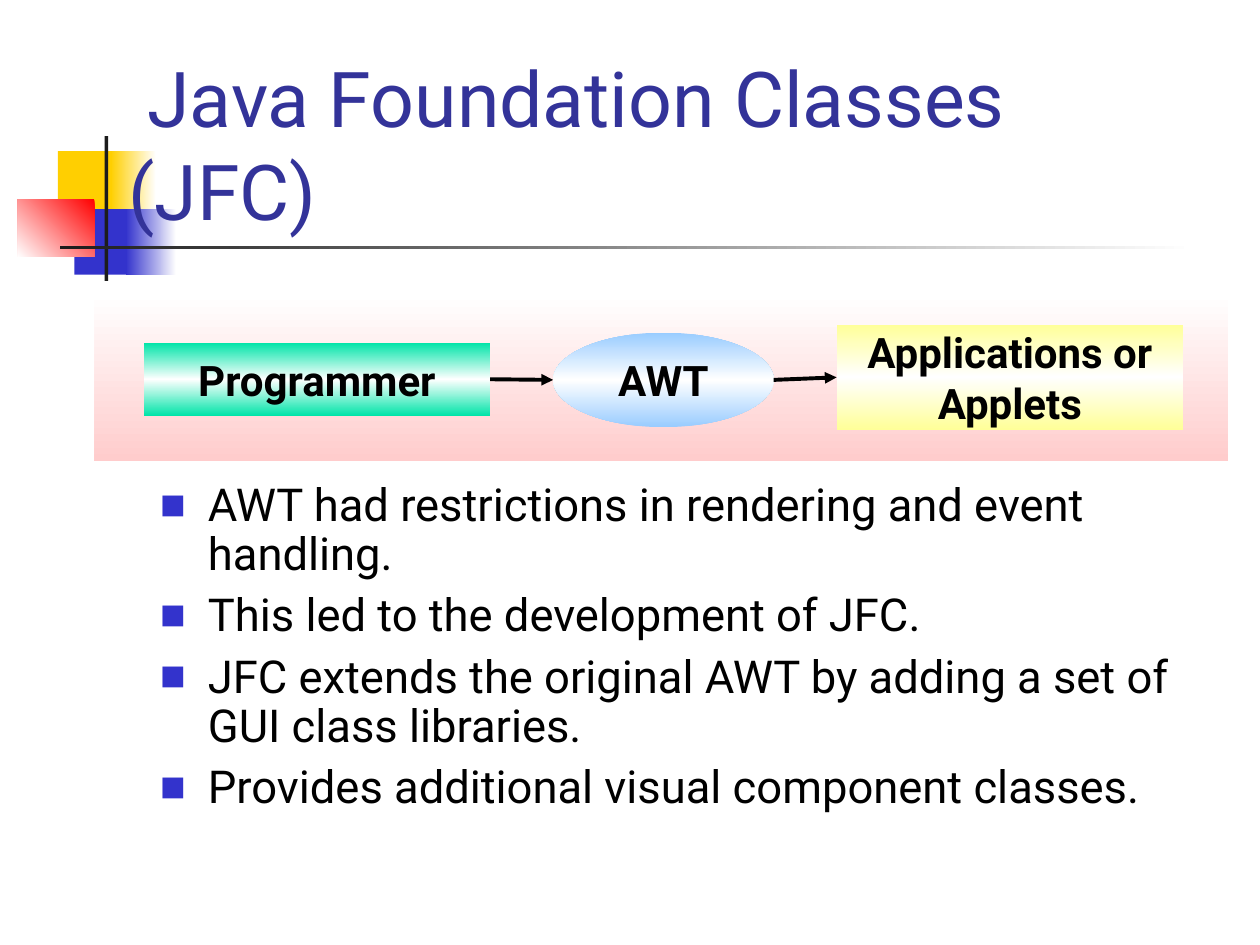
from dataclasses import dataclass

import pptx
import pptx.dml.color
import pptx.enum.shapes
import pptx.enum.text
import pptx.oxml
import pptx.oxml.ns
import pptx.util
from lxml import etree

Inches = pptx.util.Inches
Pt = pptx.util.Pt
qn = pptx.oxml.ns.qn
Shape = pptx.enum.shapes.MSO_SHAPE
Anchor = pptx.enum.text.MSO_ANCHOR
Align = pptx.enum.text.PP_ALIGN


@dataclass(frozen=True)
class Theme:
    font: str = "Roboto"
    title_size: float = 44
    body_size: float = 25.9
    node_size: float = 24
    title: str = "333399"
    text: str = "000000"
    white: str = "FFFFFF"
    yellow: str = "FFCF01"
    blue: str = "3333CC"
    red: str = "FF0000"
    dark: str = "1C1C1C"
    pink: str = "FFCCCC"
    green: str = "00E4A8"
    cream: str = "FFFF99"
    sky: str = "99CCFF"


THEME = Theme()
LEFTWARD, DOWNWARD, DOWN_LEFT = 180, 90, 135

BULLETS = [
    "AWT had restrictions in rendering and event handling.",
    "This led to the development of JFC.",
    "JFC extends the original AWT by adding a set of GUI class libraries.",
    "Provides additional visual component classes.",
]


def rgb(color):
    return pptx.dml.color.RGBColor.from_string(color)


def fill_shape(shape, colors, angle):
    """Fill with one colour, or with evenly spaced gradient stops at a clockwise angle."""
    if len(colors) == 1:
        shape.fill.solid()
        shape.fill.fore_color.rgb = rgb(colors[0])
        return
    shape.fill.gradient()
    shape.fill.gradient_angle = 360 - angle
    stops = shape._element.spPr.find(".//" + qn("a:gsLst"))
    for stop in list(stops):
        stops.remove(stop)
    for index, color in enumerate(colors):
        position = 100000 * index // (len(colors) - 1)
        stop = etree.SubElement(stops, qn("a:gs"), pos=str(position))
        etree.SubElement(stop, qn("a:srgbClr"), val=color)


def add_block(page, place, *colors, angle=DOWNWARD, kind=Shape.RECTANGLE):
    shape = page.shapes.add_shape(kind, *map(Inches, place))
    shape.shadow.inherit = False
    shape.line.fill.background()
    fill_shape(shape, colors, angle)
    return shape


def style_paragraph(para, size, color, bold=False, align=Align.LEFT):
    para.alignment = align
    para.font.name = THEME.font
    para.font.size = Pt(size)
    para.font.bold = bold
    para.font.color.rgb = rgb(color)


def add_node(page, place, text, color, kind=Shape.RECTANGLE):
    node = add_block(page, place, color, THEME.white, color, kind=kind)
    frame = node.text_frame
    frame.word_wrap = False
    frame.vertical_anchor = Anchor.MIDDLE
    frame.text = text
    for para in frame.paragraphs:
        style_paragraph(para, THEME.node_size, THEME.text, True, Align.CENTER)
    return node


def add_arrow(page, start_x, end_x, y):
    arrow = page.shapes.add_connector(
        pptx.enum.shapes.MSO_CONNECTOR.STRAIGHT, start_x, y, end_x, y)
    arrow.line.color.rgb = rgb(THEME.text)
    arrow.line.width = Pt(2.25)
    etree.SubElement(arrow.line._get_or_add_ln(), qn("a:tailEnd"), type="triangle")
    etree.SubElement(arrow._element.spPr, qn("a:effectLst"))
    return arrow


def place_text(page, placeholder, place, anchor):
    """Position a placeholder and bring it in front of what is already drawn."""
    placeholder.left, placeholder.top, placeholder.width, placeholder.height = map(Inches, place)
    page.shapes._spTree.append(placeholder._element)
    frame = placeholder.text_frame
    frame.word_wrap = True
    frame.auto_size = pptx.enum.text.MSO_AUTO_SIZE.NONE
    frame.vertical_anchor = anchor
    return frame


def add_bullet(para):
    properties = para._p.get_or_add_pPr()
    properties.set("marL", str(Inches(0.38)))
    properties.set("indent", str(Inches(-0.38)))
    color = pptx.oxml.parse_xml(
        f'<a:buClr {pptx.oxml.ns.nsdecls("a")}><a:srgbClr val="{THEME.blue}"/></a:buClr>')
    marks = [
        color,
        etree.Element(qn("a:buSzPct"), val="60000"),
        etree.Element(qn("a:buFont"), typeface=THEME.font),
        etree.Element(qn("a:buChar"), char="■"),
    ]
    first = properties.find(qn("a:defRPr"))
    for mark in marks:
        first.addprevious(mark)


def add_decoration(page):
    add_block(page, (0.46, 1.2, 0.48, 0.52), THEME.yellow)
    add_block(page, (0.88, 1.2, 0.36, 0.52), THEME.white, THEME.yellow, angle=LEFTWARD)
    add_block(page, (0.59, 1.66, 0.46, 0.52), THEME.blue)
    add_block(page, (1, 1.66, 0.4, 0.52), THEME.white, THEME.blue, angle=LEFTWARD)
    add_block(page, (0.14, 1.58, 0.61, 0.46), THEME.red, THEME.white, angle=DOWN_LEFT)
    add_block(page, (0.83, 1.08, 0.03, 1.15), THEME.dark)
    add_block(page, (0.48, 1.95, 9, 0.03), THEME.white, THEME.dark, angle=LEFTWARD)


def add_title(page):
    frame = place_text(page, page.shapes.title, (0.92, 0.67, 8.86, 1.25), Anchor.BOTTOM)
    frame.text = "Java Foundation Classes\v(JFC)"
    para = frame.paragraphs[0]
    style_paragraph(para, THEME.title_size, THEME.title)
    para._p.get_or_add_pPr().set("indent", str(Inches(0.15)))


def add_body(page):
    frame = place_text(page, page.placeholders[1], (1.17, 3.78, 8.5, 3.22), Anchor.TOP)
    frame.text = "\n".join(BULLETS)
    for para in frame.paragraphs:
        style_paragraph(para, THEME.body_size, THEME.text)
        para.line_spacing = 0.9
        para.space_before = Pt(7)
        add_bullet(para)


def add_flow(page):
    programmer = add_node(page, (1.14, 2.72, 2.75, 0.58), "Programmer", THEME.green)
    programs = add_node(page, (6.64, 2.58, 2.75, 0.83), "Applications or\nApplets", THEME.cream)
    toolkit = add_node(page, (4.39, 2.64, 1.75, 0.75), "AWT", THEME.sky, Shape.OVAL)

    middle = toolkit.top + toolkit.height // 2
    toolkit_right = toolkit.left + toolkit.width
    incoming = add_arrow(page, programmer.left + programmer.width, toolkit.left, middle)
    incoming.begin_connect(programmer, 3)
    outgoing = add_arrow(page, toolkit_right, programs.left, middle)
    outgoing.end_connect(programs, 1)


def main():
    deck = pptx.Presentation()
    deck.slide_width, deck.slide_height = Inches(10), Inches(7.5)
    page = deck.slides.add_slide(deck.slide_layouts[1])
    add_decoration(page)
    add_block(page, (0.75, 2.33, 9, 1.33), THEME.white, THEME.pink)
    add_title(page)
    add_body(page)
    add_flow(page)
    deck.save("out.pptx")


if __name__ == "__main__":
    main()
